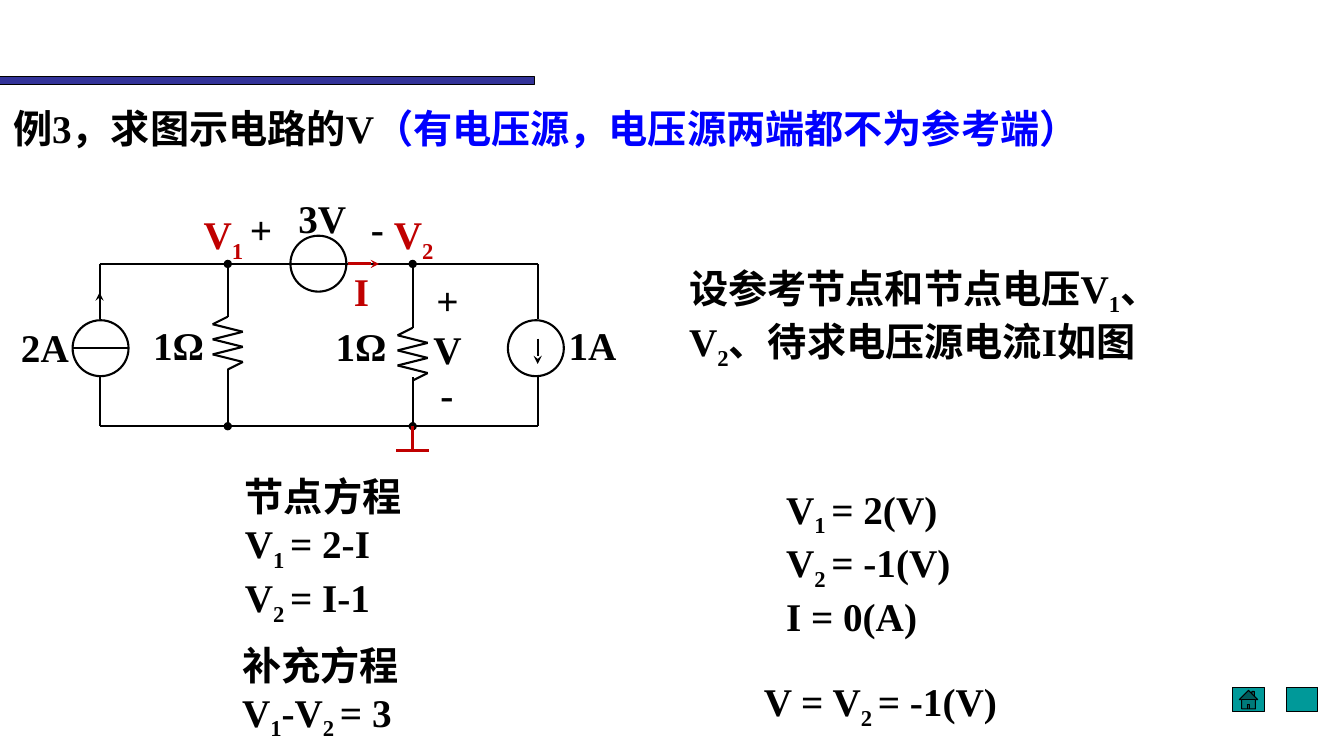
from dataclasses import dataclass
from itertools import pairwise

from lxml.etree import SubElement
from pptx import Presentation
from pptx.dml.color import RGBColor
from pptx.enum.shapes import MSO_CONNECTOR, MSO_SHAPE
from pptx.enum.text import MSO_ANCHOR, MSO_AUTO_SIZE, PP_ALIGN
from pptx.oxml.ns import qn
from pptx.util import Cm, Pt


@dataclass(frozen=True)
class Theme:
    latin: str = "Times New Roman"
    chinese: str = "Noto Sans CJK SC"
    text_size: int = 28
    subscript: str = "-25000"
    black: str = "000000"
    red: str = "C00000"
    blue: str = "0000FF"
    bar: str = "333399"
    button: str = "009999"
    wire: float = 1.5
    accent_wire: float = 2
    outline: float = 0.75


THEME = Theme()

# Lengths are in centimetres; text between ~ marks is a subscript.
TITLE = [("例3，求图示电路的V", THEME.black), ("（有电压源，电压源两端都不为参考端）", THEME.blue)]
TITLE_BOX = (0.33, 2.64, 30.4, 2.39)

# (left, top, width, height), paragraphs
STATEMENTS = [
    ((17.37, 6.65, 13.67, 2.39), ["设参考节点和节点电压V~1~、V~2~、待求电压源电流I如图"]),
    ((6.17, 11.91, 5.72, 3.56), ["节点方程", "V~1 ~= 2-I", "V~2 ~= I-1"]),
    ((19.81, 12.22, 7.01, 3.56), ["V~1 ~= 2(V)", "V~2 ~= -1(V)", "I = 0(A)"]),
    ((19.25, 17.07, 8.79, 1.19), ["V = V~2 ~= -1(V)"]),
    ((6.1, 16.15, 5.13, 2.36), ["补充方程", "V~1~-V~2 ~= 3"]),
]

# left, top, text, colour
LABELS = [
    (5.13, 5.31, "V~1~", THEME.red),
    (9.93, 5.31, "V~2~", THEME.red),
    (8.92, 6.73, "I", THEME.red),
    (0.53, 8.15, "2A", THEME.black),
    (3.86, 8.1, "1Ω", THEME.black),
    (8.46, 8.13, "1Ω", THEME.black),
    (14.33, 8.1, "1A", THEME.black),
    (7.52, 4.9, "3V", THEME.black),
    (6.3, 5.18, "+", THEME.black),
    (9.35, 5.16, "-", THEME.black),
    (11, 6.96, "+", THEME.black),
    (10.92, 8.2, "V", THEME.black),
    (11.1, 9.32, "-", THEME.black),
]
LABEL_SIZE = (1.7, 1.19)

TOP_RAIL, BOTTOM_RAIL = 6.65, 10.74
LEFT, FIRST_NODE, SECOND_NODE, RIGHT = 2.51, 5.74, 10.4, 13.55
SOURCE_TOP, SOURCE_BOTTOM = 8.03, 9.5
SOURCE_SIZE = 1.41
SOURCE_CORNERS = [(1.83, 8.07), (7.32, 5.94), (12.8, 8.07)]
SOURCE_MIDDLE = 8.77
RESISTORS = [(FIRST_NODE, 7.98), (SECOND_NODE, 8.26)]
ZIGZAG = [0, -0.38, 0.38, -0.38, 0.38, -0.38, 0.38, 0]
ZIGZAG_STEP, LEAD = 0.19, 0.58
GROUND_Y, GROUND_HALF = 11.35, 0.42

# preset, (left, top, width, height), fill
FURNITURE = [
    (MSO_SHAPE.RECTANGLE, (0, 1.93, 13.46, 0.2), THEME.bar),
    (MSO_SHAPE.ACTION_BUTTON_HOME, (31.06, 17.32, 0.81, 0.62), THEME.button),
    (MSO_SHAPE.ACTION_BUTTON_CUSTOM, (32.41, 17.32, 0.8, 0.62), THEME.button),
]


def add_run(paragraph, text, color, subscript=False):
    run = paragraph.add_run()
    run.text = text
    run.font.size = Pt(THEME.text_size)
    run.font.bold = True
    run.font.name = THEME.latin
    run.font.color.rgb = RGBColor.from_string(color)
    properties = run.font._element
    SubElement(properties, qn("a:ea")).set("typeface", THEME.chinese)
    if subscript:
        properties.set("baseline", THEME.subscript)


def prepare_frame(text_frame):
    text_frame.word_wrap = True
    text_frame.auto_size = MSO_AUTO_SIZE.NONE
    text_frame.vertical_anchor = MSO_ANCHOR.TOP
    text_frame.margin_left = text_frame.margin_right = 0
    text_frame.margin_top = text_frame.margin_bottom = 0


def add_text(slide, box, lines, color=THEME.black):
    text_frame = slide.shapes.add_textbox(*map(Cm, box)).text_frame
    prepare_frame(text_frame)
    for index, line in enumerate(lines):
        paragraph = text_frame.add_paragraph() if index else text_frame.paragraphs[0]
        for position, part in enumerate(line.split("~")):
            if part:
                add_run(paragraph, part, color, subscript=position % 2 == 1)


def add_title(slide):
    title = slide.shapes.title
    title.left, title.top, title.width, title.height = map(Cm, TITLE_BOX)
    prepare_frame(title.text_frame)
    paragraph = title.text_frame.paragraphs[0]
    paragraph.alignment = PP_ALIGN.LEFT
    paragraph.line_spacing = 1.0
    for text, color in TITLE:
        add_run(paragraph, text, color)


def add_shape(slide, preset, box, fill=None, width=THEME.outline):
    shape = slide.shapes.add_shape(preset, *map(Cm, box))
    shape.shadow.inherit = False
    if fill:
        shape.fill.solid()
        shape.fill.fore_color.rgb = RGBColor.from_string(fill)
    else:
        shape.fill.background()
    shape.line.color.rgb = RGBColor.from_string(THEME.black)
    shape.line.width = Pt(width)


def add_wire(slide, start, end, color=THEME.black, width=THEME.wire, head=None, tail=None):
    wire = slide.shapes.add_connector(MSO_CONNECTOR.STRAIGHT, *map(Cm, start + end))
    wire.line.color.rgb = RGBColor.from_string(color)
    wire.line.width = Pt(width)
    line = wire.line._get_or_add_ln()
    for tag, kind in (("a:headEnd", head), ("a:tailEnd", tail)):
        if kind:
            SubElement(line, qn(tag)).set("type", kind)
    SubElement(wire._element.spPr, qn("a:effectLst"))


def add_resistor_branch(slide, x, top):
    """Draw the node dots, the leads and the zigzag between the two rails."""
    points = [(x + offset, top + row * ZIGZAG_STEP) for row, offset in enumerate(ZIGZAG)]
    bottom = points[-1][1]
    add_wire(slide, (x, TOP_RAIL), (x, top - LEAD / 2), head="oval")
    add_wire(slide, (x, SOURCE_BOTTOM), (x, BOTTOM_RAIL), tail="oval")
    add_wire(slide, (x, top - LEAD), (x, top))
    add_wire(slide, (x, bottom), (x, bottom + LEAD))
    for start, end in pairwise(points):
        add_wire(slide, start, end)


def add_circuit(slide):
    for y in (TOP_RAIL, BOTTOM_RAIL):
        add_wire(slide, (LEFT, y), (RIGHT, y))
    for x in (LEFT, RIGHT):
        add_wire(slide, (x, TOP_RAIL), (x, SOURCE_TOP))
        add_wire(slide, (x, SOURCE_BOTTOM), (x, BOTTOM_RAIL))
    for x, top in RESISTORS:
        add_resistor_branch(slide, x, top)
    for corner in SOURCE_CORNERS:
        add_shape(slide, MSO_SHAPE.OVAL, corner + (SOURCE_SIZE, SOURCE_SIZE), width=THEME.wire)
    source_left = SOURCE_CORNERS[0][0]
    add_wire(slide, (source_left + SOURCE_SIZE, SOURCE_MIDDLE), (source_left, SOURCE_MIDDLE))
    add_wire(slide, (LEFT, 8), (LEFT, 7.37), tail="stealth")
    add_wire(slide, (RIGHT, 8.53), (RIGHT, 9.17), tail="stealth")

    accent = {"color": THEME.red, "width": THEME.accent_wire}
    add_wire(slide, (8.76, TOP_RAIL), (9.55, TOP_RAIL), tail="stealth", **accent)
    add_wire(slide, (SECOND_NODE, BOTTOM_RAIL), (SECOND_NODE, GROUND_Y), **accent)
    add_wire(slide, (SECOND_NODE - GROUND_HALF, GROUND_Y),
             (SECOND_NODE + GROUND_HALF, GROUND_Y), **accent)


def main():
    presentation = Presentation()
    presentation.slide_width, presentation.slide_height = Cm(33.87), Cm(19.05)
    slide = presentation.slides.add_slide(presentation.slide_layouts[5])
    for preset, box, fill in FURNITURE:
        add_shape(slide, preset, box, fill)
    add_title(slide)
    add_circuit(slide)
    for left, top, text, color in LABELS:
        add_text(slide, (left, top) + LABEL_SIZE, [text], color)
    for box, lines in STATEMENTS:
        add_text(slide, box, lines)
    presentation.save("out.pptx")


if __name__ == "__main__":
    main()
